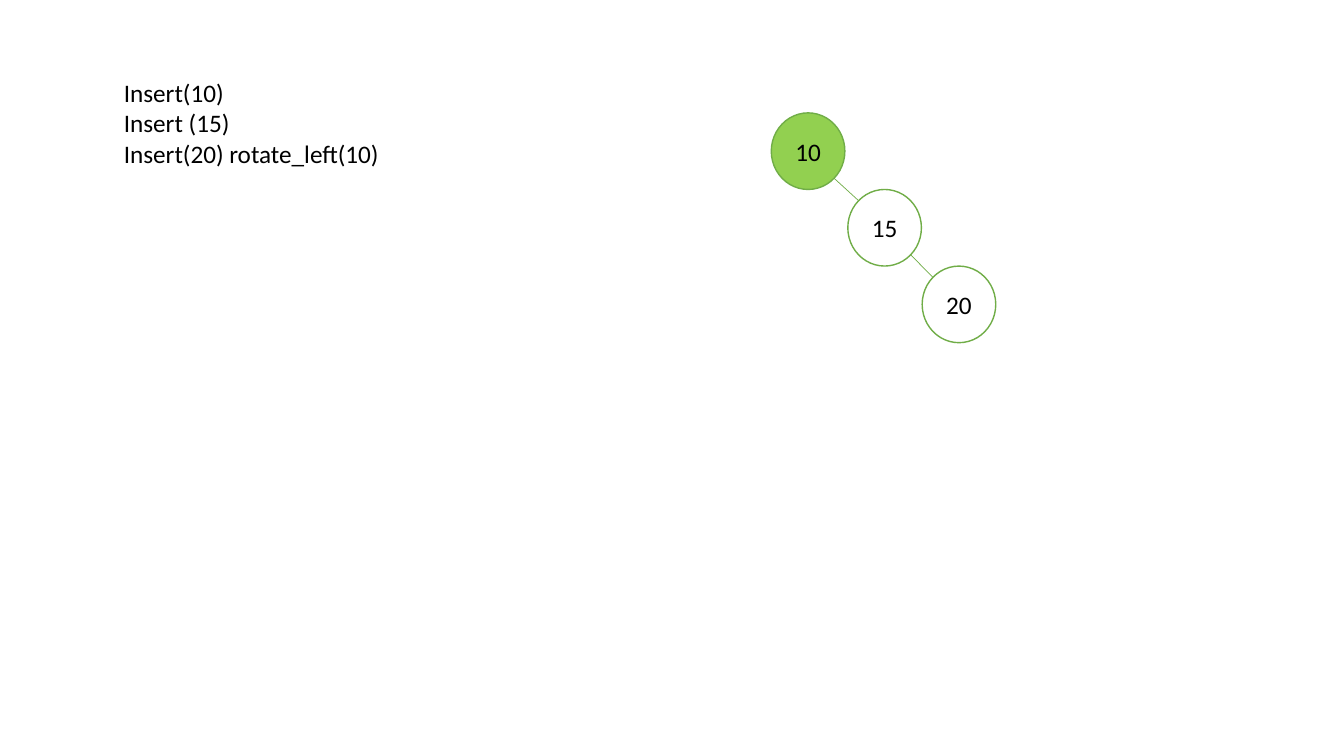
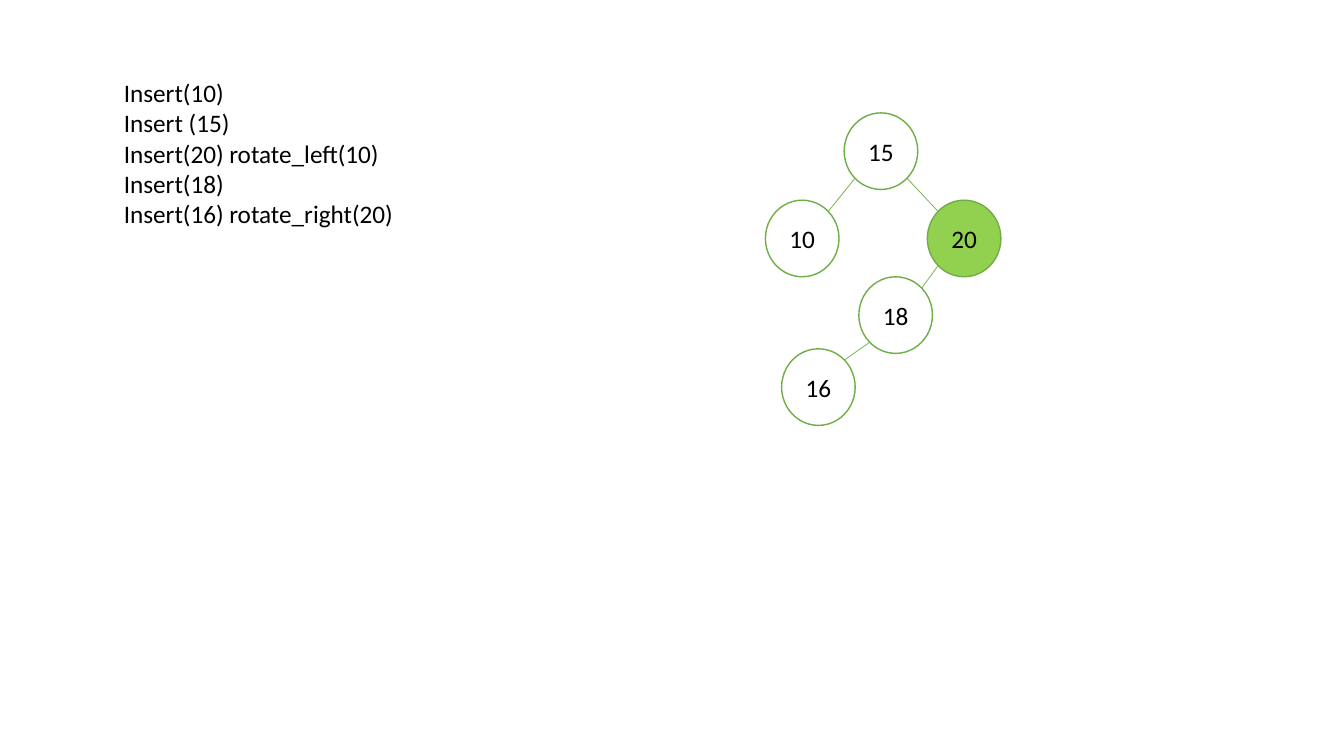
import math
from dataclasses import dataclass

import pptx
import pptx.dml.color
import pptx.enum.shapes
import pptx.enum.text
import pptx.oxml.ns
import pptx.util
from lxml import etree

Inches, Pt = pptx.util.Inches, pptx.util.Pt
RGB = pptx.dml.color.RGBColor
ALIGN = pptx.enum.text.PP_ALIGN
ANCHOR = pptx.enum.text.MSO_ANCHOR


@dataclass(frozen=True)
class Theme:
    font: str = "Calibri"
    size: float = 18
    text: RGB = RGB(0x00, 0x00, 0x00)
    node: RGB = RGB(0xFF, 0xFF, 0xFF)
    pivot: RGB = RGB(0x92, 0xD0, 0x50)
    line: RGB = RGB(0x70, 0xAD, 0x47)
    node_line: float = 1
    edge_line: float = 0.5


@dataclass(frozen=True)
class Grid:
    """Tree grid: one cell holds exactly one node."""
    left: float = 7.65
    top: float = 1.12
    col: float = 0.73
    row: float = 0.76

    def x(self, col: float) -> float:
        return self.left + col * self.col

    def y(self, row: float) -> float:
        return self.top + row * self.row


@dataclass(frozen=True)
class Node:
    key: int
    col: float
    row: float
    parent: int | None = None
    pivot: bool = False


@dataclass(frozen=True)
class Step:
    calls: list[str]
    nodes: list[Node]


THEME = Theme()
GRID = Grid()
SLIDE_W, SLIDE_H = 13.33, 7.5
LINE_H, INSET = 0.3, 0.05

# Content: operations so far and the tree before the rotation
FIRST_CALLS = ["Insert(10)", "Insert (15)", "Insert(20) rotate_left(10)"]
STEPS = [
    Step(FIRST_CALLS, [
        Node(10, 0, 0, pivot=True),
        Node(15, 1.04, 1, parent=10),
        Node(20, 2.05, 2, parent=15),
    ]),
    Step(FIRST_CALLS + ["Insert(18)", "Insert(16) rotate_right(20)"], [
        Node(15, 0.99, 0),
        Node(10, -0.08, 1.14, parent=15),
        Node(20, 2.12, 1.14, parent=15, pivot=True),
        Node(18, 1.19, 2.14, parent=20),
        Node(16, 0.14, 3.08, parent=18),
    ]),
]


def write(tf, lines: list[str], *, align=ALIGN.LEFT, anchor=ANCHOR.TOP) -> None:
    """Write one paragraph per line in the theme's text style."""
    tf.word_wrap = True
    tf.vertical_anchor = anchor
    for i, line in enumerate(lines):
        p = tf.add_paragraph() if i else tf.paragraphs[0]
        p.alignment = align
        r = p.add_run()
        r.text = line
        r.font.name, r.font.size = THEME.font, Pt(THEME.size)
        r.font.color.rgb = THEME.text


def add_calls(s, calls: list[str]) -> None:
    height = len(calls) * LINE_H + 2 * INSET
    box = s.shapes.add_textbox(Inches(1.13), Inches(0.72),
                               Inches(0.38 * SLIDE_W), Inches(height))
    write(box.text_frame, calls)
    box.text_frame.auto_size = pptx.enum.text.MSO_AUTO_SIZE.SHAPE_TO_FIT_TEXT


def add_node(s, node: Node) -> None:
    sp = s.shapes.add_shape(pptx.enum.shapes.MSO_SHAPE.OVAL,
                            Inches(GRID.x(node.col)), Inches(GRID.y(node.row)),
                            Inches(GRID.col), Inches(GRID.row))
    sp.shadow.inherit = False
    sp.fill.solid()
    sp.fill.fore_color.rgb = THEME.pivot if node.pivot else THEME.node
    sp.line.color.rgb, sp.line.width = THEME.line, Pt(THEME.node_line)
    write(sp.text_frame, [str(node.key)], align=ALIGN.CENTER, anchor=ANCHOR.MIDDLE)


def rim(node: Node, side: int, down: int) -> tuple[int, int]:
    """Point on the node's outline, diagonally from its centre."""
    reach = math.sqrt(0.5) / 2
    return (Inches(GRID.x(node.col + 0.5 + side * reach)),
            Inches(GRID.y(node.row + 0.5 + down * reach)))


def add_edge(s, parent: Node, child: Node) -> None:
    side = 1 if child.col > parent.col else -1
    cxn = s.shapes.add_connector(pptx.enum.shapes.MSO_CONNECTOR.STRAIGHT,
                                 *rim(parent, side, 1), *rim(child, -side, -1))
    cxn.line.color.rgb, cxn.line.width = THEME.line, Pt(THEME.edge_line)
    sp_pr = cxn._element.find(pptx.oxml.ns.qn("p:spPr"))
    etree.SubElement(sp_pr, pptx.oxml.ns.qn("a:effectLst"))


def add_tree(s, nodes: list[Node]) -> None:
    by_key = {node.key: node for node in nodes}
    for node in nodes:
        add_node(s, node)
        if node.parent is not None:
            add_edge(s, by_key[node.parent], node)


def main() -> None:
    prs = pptx.Presentation()
    prs.slide_width, prs.slide_height = Inches(SLIDE_W), Inches(SLIDE_H)
    for step in STEPS:
        s = prs.slides.add_slide(prs.slide_layouts[6])
        add_calls(s, step.calls)
        add_tree(s, step.nodes)
    prs.save("out.pptx")


if __name__ == "__main__":
    main()
